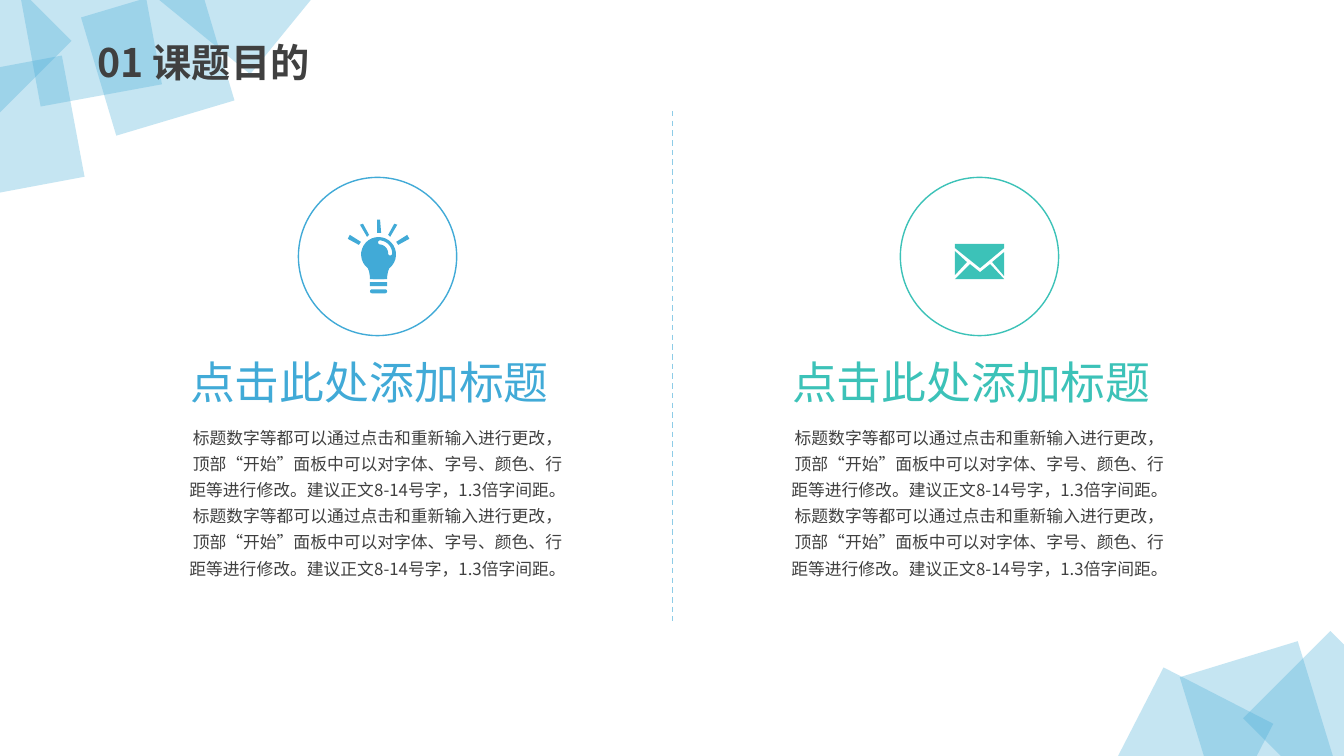
from math import cos, radians, sin

from lxml import etree
from pptx import Presentation
from pptx.dml.color import RGBColor
from pptx.enum.dml import MSO_LINE
from pptx.enum.shapes import MSO_CONNECTOR, MSO_SHAPE
from pptx.enum.text import MSO_ANCHOR, MSO_AUTO_SIZE, PP_ALIGN
from pptx.oxml.ns import qn
from pptx.util import Pt

PX = 9144  # 100 px to the inch
DIAMOND, OVAL = MSO_SHAPE.DIAMOND, MSO_SHAPE.OVAL
RECTANGLE, ROUNDED = MSO_SHAPE.RECTANGLE, MSO_SHAPE.ROUNDED_RECTANGLE
STRAIGHT, DASH = MSO_CONNECTOR.STRAIGHT, MSO_LINE.DASH
CENTER, MIDDLE = PP_ALIGN.CENTER, MSO_ANCHOR.MIDDLE
GROW = MSO_AUTO_SIZE.SHAPE_TO_FIT_TEXT

COLORS = {"blue": "41AAD7", "teal": "3CC2B8", "divider": "8DCCE7", "text": "404040"}
SANS, DISPLAY = "Noto Sans CJK SC", "TeX Gyre Adventor"

HEADING = "点击此处添加标题"
ADVICE = ("标题数字等都可以通过点击和重新输入进行更改，"
          "顶部“开始”面板中可以对字体、字号、颜色、行距等进行修改。"
          "建议正文8-14号字，1.3倍字间距。")

DIAMOND_SIZE = 173
DIAMONDS = [  # left, top, rotation
    (-74, 40, 34.4), (70, -28, 28.4), (3, -52, 304.6), (153, -99, 354.2),
    (1094, 658, 342.2), (-102, -46, 270), (1160, 626, 28), (1233, 626, 270),
]

# Icon outlines are measured from the corner of the circle around them.
CIRCLE_SIZE = 157
BULB_AXIS, BULB_MIDDLE = 79.5, 76.5
BULB_NECK = [(89, 93), (88, 98), (85, 101), (74, 101), (71, 98), (70, 93)]
BULB_BARS = [(RECTANGLE, 93, 8), (RECTANGLE, 104, 4), (ROUNDED, 111, 4)]
TOP_RAY = [(82, 55), (78, 55), (78, 42), (81, 42)]
LEFT_RAYS = [
    [(68, 59), (61, 47), (64, 46), (70, 57)],
    [(51, 57), (62, 64), (60, 67), (49, 61)],
]
ENVELOPE = [
    [(54, 70), (79, 90), (103, 70), (103, 66), (54, 66)],
    [(54, 97), (66, 84), (54, 73)],
    [(103, 98), (91, 84), (103, 74)],
    [(79, 94), (69, 86), (54, 101), (103, 101), (89, 86)],
]


def rgb(name):
    return RGBColor.from_string(COLORS[name])


def fill_plain(shape, color):
    shape.shadow.inherit = False
    shape.fill.solid()
    shape.fill.fore_color.rgb = rgb(color)
    shape.line.fill.background()


def add_solid(shapes, kind, left, top, width, height, color):
    shape = shapes.add_shape(kind, *(round(n * PX) for n in (left, top, width, height)))
    fill_plain(shape, color)
    return shape


def add_outline(shapes, left, top, contours, color):
    """Fill one or more closed contours given relative to left, top."""
    placed = [[((left + x) * PX, (top + y) * PX) for x, y in contour]
              for contour in contours]
    builder = shapes.build_freeform(*placed[0][0], scale=1.0)
    builder.add_line_segments(placed[0][1:])
    for contour in placed[1:]:
        builder.move_to(*contour[0])
        builder.add_line_segments(contour[1:])
    fill_plain(builder.convert_to_shape(), color)


def arc(center_x, center_y, radius, start, end, steps=24):
    angles = [radians(start + (end - start) * i / steps) for i in range(steps + 1)]
    return [(center_x + radius * cos(a), center_y + radius * sin(a)) for a in angles]


def add_text(page, box, text, font, size, color, bold=False, wrap=True):
    left, top, width, height = (n * PX for n in box)
    frame = page.shapes.add_textbox(left, top, width, height).text_frame
    frame.word_wrap = wrap
    para = frame.paragraphs[0]
    run = para.add_run()
    run.text = text
    run.font.name = font
    run.font.size = Pt(size)
    run.font.bold = bold
    run.font.color.rgb = rgb(color)
    properties = run.font._element
    properties.set("lang", "zh-CN")
    east_asian = etree.Element(qn("a:ea"), typeface=font)
    properties.find(qn("a:latin")).addnext(east_asian)
    return frame, para


def add_corner_diamonds(page):
    for left, top, rotation in DIAMONDS:
        diamond = add_solid(page.shapes, DIAMOND, left, top,
                            DIAMOND_SIZE, DIAMOND_SIZE, "blue")
        diamond.rotation = rotation
        color = diamond.fill._xPr.find(".//" + qn("a:srgbClr"))
        etree.SubElement(color, qn("a:alpha"), val="30000")


def add_page_title(page, box):
    frame, para = add_text(page, box, "01 课题目的", SANS, 28, "text", bold=True)
    frame.vertical_anchor = MIDDLE
    para.line_spacing = 0.9
    para.space_before = Pt(10)


def add_divider(page, x, top, bottom):
    line = page.shapes.add_connector(STRAIGHT, x * PX, top * PX, x * PX, bottom * PX)
    line.line.color.rgb = rgb("divider")
    line.line.width = Pt(1)
    line.line.dash_style = DASH
    etree.SubElement(line._element.spPr, qn("a:effectLst"))


def draw_bulb(shapes, left, top, color):
    glass = arc(BULB_AXIS, BULB_MIDDLE, 17.3, 128, 412) + BULB_NECK
    shine_x, shine_y = 80, 75.5
    tip = arc(shine_x, shine_y, 11, -85, 0, 1)
    shine = (arc(shine_x, shine_y, 13, -85, 0) + arc(*tip[1], 2, 0, 180)
             + arc(shine_x, shine_y, 9, 0, -85) + arc(*tip[0], 2, 95, 275))
    add_outline(shapes, left, top, [glass, shine[::-1]], color)
    for kind, bar_top, height in BULB_BARS:
        bar = add_solid(shapes, kind, left + 71, top + bar_top, 17, height, color)
        if kind == ROUNDED:
            bar.adjustments[0] = 0.5
    right_rays = [[(2 * BULB_AXIS - x, y) for x, y in ray] for ray in LEFT_RAYS]
    for ray in [TOP_RAY] + LEFT_RAYS + right_rays:
        add_outline(shapes, left, top, [ray], color)


def draw_envelope(shapes, left, top, color):
    add_outline(shapes, left, top, ENVELOPE, color)


def add_column(page, left, top, color, draw_icon):
    """Stack a ringed icon, a heading and a paragraph."""
    frame, para = add_text(page, (left, top + 237, 395, 168), ADVICE * 2,
                           SANS, 12, "text")
    frame.auto_size = GROW
    para.alignment = CENTER
    para.line_spacing = 1.3

    frame, para = add_text(page, (left, top + 171, 379, 64), HEADING,
                           DISPLAY, 32, color, wrap=False)
    frame.auto_size = GROW
    para.alignment = CENTER

    icon = page.shapes.add_group_shape().shapes
    circle_left = left + 119
    draw_icon(icon, circle_left, top, color)
    circle = add_solid(icon, OVAL, circle_left, top, CIRCLE_SIZE, CIRCLE_SIZE, color)
    circle.fill.background()
    circle.line.color.rgb = rgb(color)
    circle.line.width = Pt(1)


def main():
    deck = Presentation()
    deck.slide_width, deck.slide_height = 1333 * PX, 750 * PX
    page = deck.slides.add_slide(deck.slide_layouts[6])
    add_corner_diamonds(page)
    add_page_title(page, (87, 40, 389, 48))
    add_divider(page, 667, 110, 616)
    add_column(page, 177, 176, "blue", draw_bulb)
    add_column(page, 774, 176, "teal", draw_envelope)
    deck.save("out.pptx")


if __name__ == "__main__":
    main()
